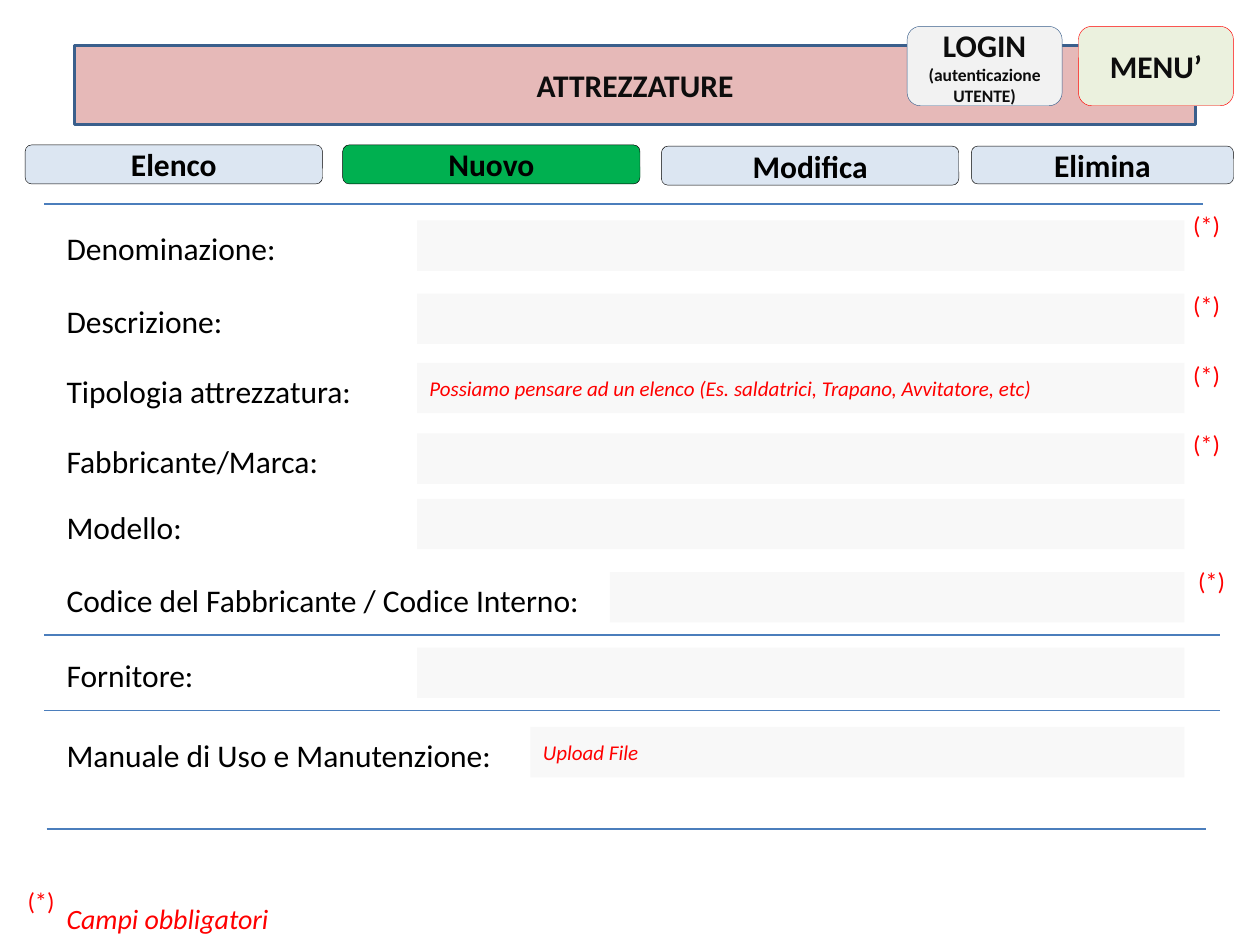
from lxml import etree
from pptx import Presentation
from pptx.dml.color import RGBColor
from pptx.enum.shapes import MSO_CONNECTOR, MSO_SHAPE
from pptx.enum.text import MSO_ANCHOR, MSO_AUTO_SIZE, PP_ALIGN
from pptx.oxml.ns import qn
from pptx.util import Inches, Pt

ROUND, RECT = MSO_SHAPE.ROUNDED_RECTANGLE, MSO_SHAPE.RECTANGLE
LINE = MSO_CONNECTOR.STRAIGHT
MIDDLE, NO_FIT = MSO_ANCHOR.MIDDLE, MSO_AUTO_SIZE.NONE
LEFT, CENTER = PP_ALIGN.LEFT, PP_ALIGN.CENTER

BLACK = RGBColor(0x00, 0x00, 0x00)
INK = RGBColor(0x0D, 0x0D, 0x0D)
RED = RGBColor(0xFF, 0x00, 0x00)
PINK = RGBColor(0xE6, 0xB9, 0xB8)
NAVY = RGBColor(0x3A, 0x5F, 0x8C)
BLUE = RGBColor(0x4B, 0x7E, 0xBC)
PALE = RGBColor(0xDC, 0xE6, 0xF2)
GREEN = RGBColor(0x00, 0xB0, 0x50)
LIME = RGBColor(0xEB, 0xF1, 0xDE)
GRAY = RGBColor(0xF2, 0xF2, 0xF2)
FIELD = RGBColor(0xF8, 0xF8, 0xF8)

TABS = [
    ("Elenco", 0.2, 1.15, 2.36, 0.31, PALE),
    ("Nuovo", 2.72, 1.15, 2.36, 0.31, GREEN),
    ("Modifica", 5.25, 1.16, 2.36, 0.31, PALE),
    ("Elimina", 7.71, 1.16, 2.08, 0.3, PALE),
]
HINT = "Possiamo pensare ad un elenco (Es. saldatrici, Trapano, Avvitatore, etc)"
ROWS = [
    ("Denominazione:", 3.31, 1.75, "", (9.37, 1.62)),
    ("Descrizione:", 3.31, 2.33, "", (9.37, 2.25)),
    ("Tipologia attrezzatura:", 3.31, 2.88, HINT, (9.37, 2.81)),
    ("Fabbricante/Marca:", 3.31, 3.44, "", (9.37, 3.36)),
    ("Modello:", 3.31, 3.96, "", None),
    ("Codice del Fabbricante / Codice Interno:", 4.84, 4.54, "", (9.41, 4.44)),
    ("Fornitore:", 3.31, 5.14, "", None),
    ("Manuale di Uso e Manutenzione:", 4.21, 5.77, "Upload File", None),
]
RULES = [(0.35, 9.55, 1.62), (0.35, 9.68, 5.04), (0.35, 9.68, 5.64), (0.37, 9.57, 6.58)]
EDGE = 9.4


def write(para, text, size, color, align=LEFT, bold=False, italic=False):
    para.text = text
    para.alignment = align
    font = para.font
    font.name, font.size = "Calibri", Pt(size)
    font.bold, font.italic = bold, italic
    font.color.rgb = color


def paint(shape, fill, line=None, width=0.25):
    shape.fill.solid()
    shape.fill.fore_color.rgb = fill
    if line is None:
        shape.line.fill.background()
    else:
        shape.line.color.rgb = line
        shape.line.width = Pt(width)


def block(slide, kind, box, fill, line=None):
    shape = slide.shapes.add_shape(kind, *map(Inches, box))
    shape.shadow.inherit = False
    paint(shape, fill, line)
    shape.text_frame.word_wrap = True
    shape.text_frame.vertical_anchor = MIDDLE
    return shape


def label(slide, box, text, size, color, italic=False):
    frame = slide.shapes.add_textbox(*map(Inches, box)).text_frame
    frame.word_wrap = True
    write(frame.paragraphs[0], text, size, color, italic=italic)


def star(slide, left, top):
    label(slide, (left, top, 0.51, 0.34), "(*)", 14, RED)


def rule(slide, left, right, top):
    line = slide.shapes.add_connector(
        LINE, Inches(left), Inches(top), Inches(right), Inches(top))
    line.line.color.rgb = BLUE
    line.line.width = Pt(0.75)
    etree.SubElement(line._element.spPr, qn("a:effectLst"))


def banner(slide, box):
    title = slide.shapes.title
    title.left, title.top, title.width, title.height = map(Inches, box)
    geom = etree.SubElement(title._element.spPr, qn("a:prstGeom"), prst="roundRect")
    etree.SubElement(geom, qn("a:avLst"))
    paint(title, PINK, NAVY, 2)
    frame = title.text_frame
    frame.auto_size = NO_FIT
    frame.vertical_anchor = MIDDLE
    write(frame.paragraphs[0], "ATTREZZATURE", 18, INK, CENTER, True)


def button(slide, box, text, fill, line, color, note=""):
    frame = block(slide, ROUND, box, fill, line).text_frame
    write(frame.paragraphs[0], text, 18, color, CENTER, True)
    if note:
        write(frame.add_paragraph(), note, 10, color, CENTER, True)


def entry(slide, box, name, start, hint, mark):
    left, top, width, height = box
    span = max(start - left, 2.76) + 0.1
    label(slide, (left, top + 0.02, span, height), name, 18, BLACK)
    field = block(slide, RECT, (start, top, left + width - start, height), FIELD)
    if hint:
        write(field.text_frame.paragraphs[0], hint, 12, RED, italic=True)
    if mark:
        star(slide, *mark)


def legend(slide, left, top):
    star(slide, left, top)
    label(slide, (left + 0.31, top + 0.13, 4.17, 0.37), "Campi obbligatori", 16, RED, True)


def main():
    deck = Presentation()
    deck.slide_width, deck.slide_height = Inches(10), Inches(7.5)
    slide = deck.slides.add_slide(deck.slide_layouts[5])
    banner(slide, (0.59, 0.36, 8.9, 0.63))
    button(slide, (7.2, 0.21, 1.23, 0.63), "LOGIN", GRAY, NAVY, INK,
           "(autenticazione UTENTE)")
    button(slide, (8.56, 0.21, 1.23, 0.63), "MENU’", LIME, RED, INK)
    for text, left, top, width, height, fill in TABS:
        button(slide, (left, top, width, height), text, fill, BLACK, BLACK)
    for ends in RULES:
        rule(slide, *ends)
    for name, start, top, hint, mark in ROWS:
        entry(slide, (0.43, top, EDGE - 0.43, 0.4), name, start, hint, mark)
    legend(slide, 0.12, 6.98)
    deck.save("out.pptx")


if __name__ == "__main__":
    main()
